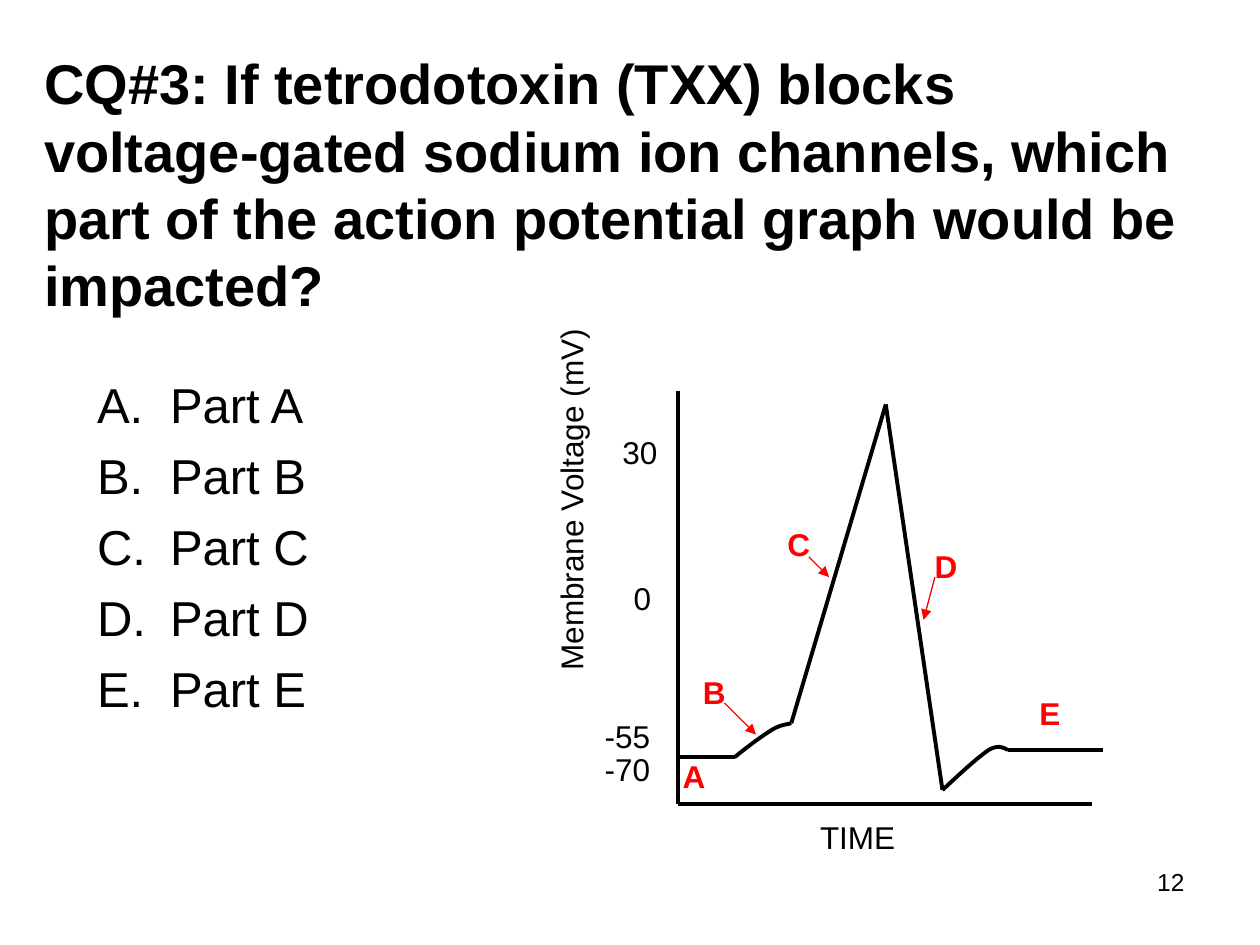
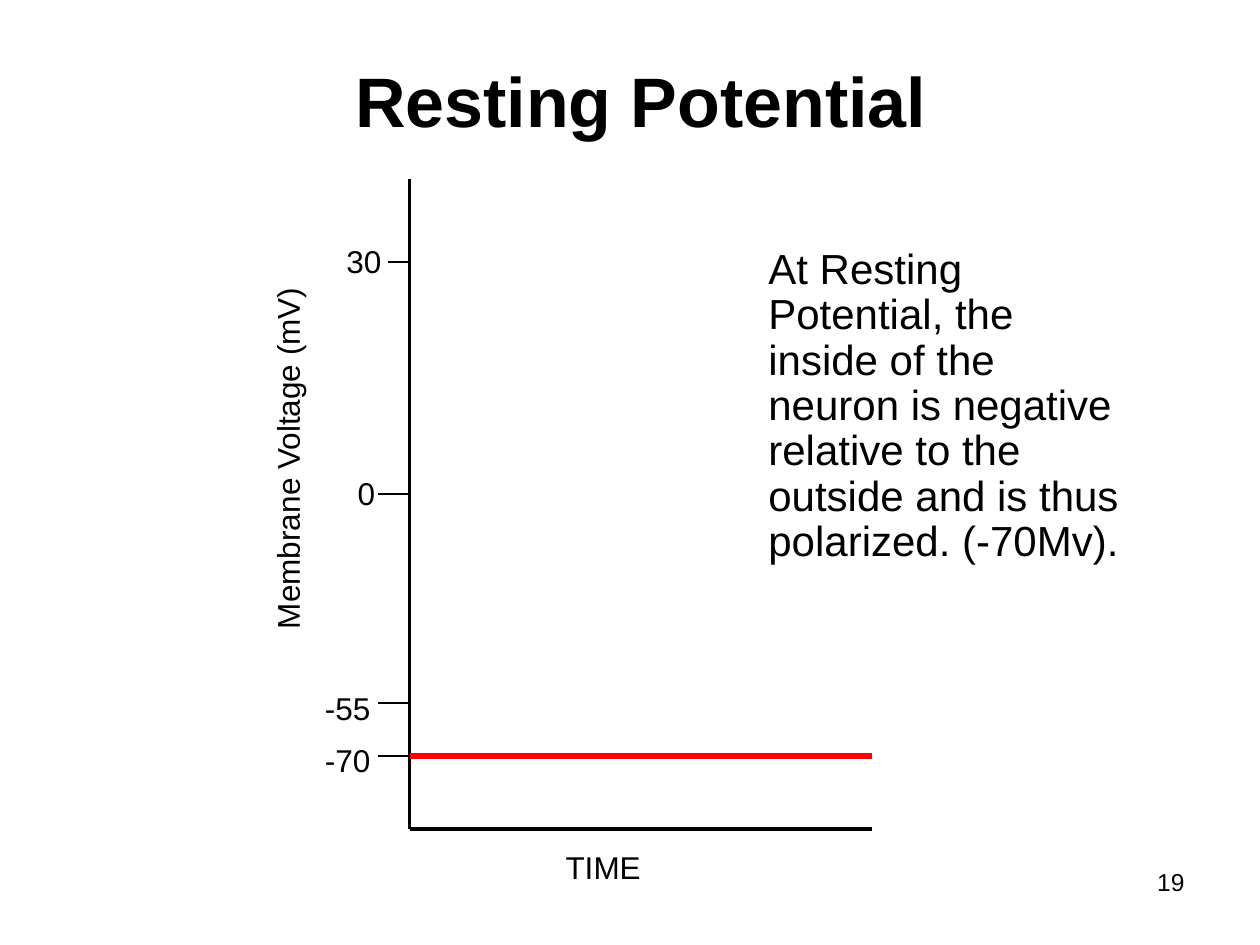
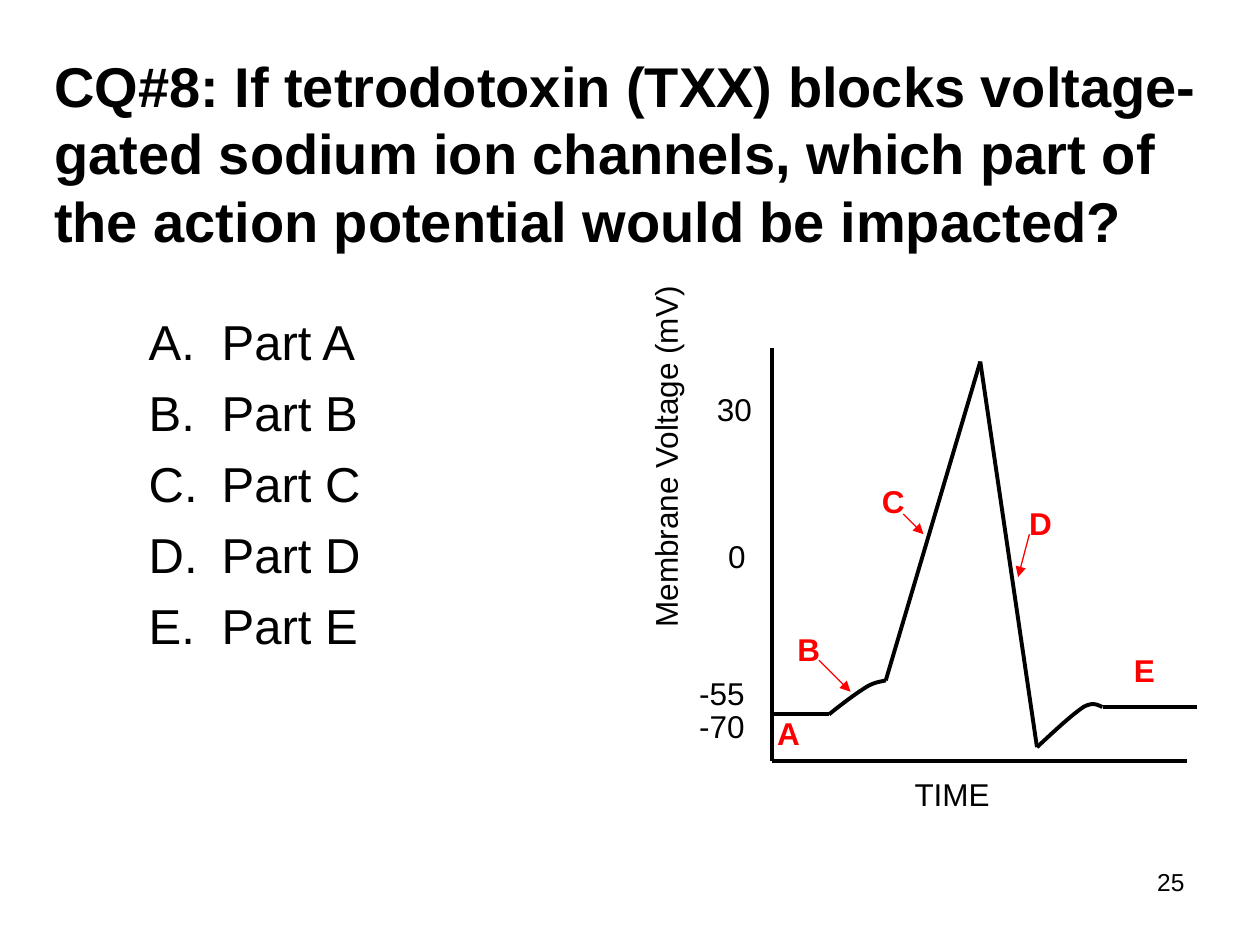
from dataclasses import dataclass

from lxml import etree
from pptx import Presentation
from pptx.dml.color import RGBColor
from pptx.enum.shapes import MSO_CONNECTOR
from pptx.enum.text import MSO_ANCHOR, MSO_AUTO_SIZE, PP_ALIGN
from pptx.oxml.ns import qn
from pptx.util import Inches, Pt

STRAIGHT = MSO_CONNECTOR.STRAIGHT
LEFT, CENTER, RIGHT = PP_ALIGN.LEFT, PP_ALIGN.CENTER, PP_ALIGN.RIGHT
MIDDLE, TOP = MSO_ANCHOR.MIDDLE, MSO_ANCHOR.TOP
NO_FIT, GROW = MSO_AUTO_SIZE.NONE, MSO_AUTO_SIZE.SHAPE_TO_FIT_TEXT
TITLE_AND_BODY, TITLE_ONLY = 1, 5


@dataclass(frozen=True)
class Theme:
    font: str = "Arial"
    ink: RGBColor = RGBColor(0, 0, 0)
    accent: RGBColor = RGBColor(255, 0, 0)
    title: int = 40
    question: int = 32
    choice: int = 28
    note: int = 24
    label: int = 18
    number: int = 14
    thin: float = 0.75
    thick: float = 2.25
    heavy: float = 3


THEME = Theme()

# Content: boxes are left, top, width, height in inches
CHOICES = ["Part A", "Part B", "Part C", "Part D", "Part E"]
QUESTIONS = {
    "CQ#3": {
        "number": "12",
        "title": "CQ#3: If tetrodotoxin (TXX) blocks voltage-gated sodium ion channels, "
                 "which part of the action potential graph would be impacted?",
        "title_box": (0.25, 0.33, 9.25, 2.25),
        "choices_box": (0.67, 2.92, 4.25, 3.75),
        "origin": (5.38, 6.38),
    },
    "CQ#8": {
        "number": "25",
        "title": "CQ#8: If tetrodotoxin (TXX) blocks voltage-gated sodium ion channels, "
                 "which part of the action potential would be impacted?",
        "title_box": (0.33, 0.17, 9.33, 2.08),
        "choices_box": (1.08, 2.42, 3.58, 3.53),
        "origin": (6.13, 6.04),
    },
}
RESTING_NOTE = ("At Resting Potential, the inside of the neuron is negative relative "
                "to the outside and is thus polarized. (-70Mv).")

# Graph geometry: distance right of and height above the origin of the axes
LABEL_HEIGHT = 0.4
LABEL_WIDTHS = {"TIME": 0.82, "-70": 0.56, "-55": 0.56, "0": 0.34, "30": 0.48,
                "A": 0.38, "B": 0.38, "C": 0.38, "D": 0.38, "E": 0.36}
ACTION_AXES = {
    "width": 3.29, "height": 3.28, "voltage_center": (-0.85, 2.42),
    "labels": {"TIME": (1.03, -0.06), "-70": (-0.68, 0.48), "-55": (-0.68, 0.74),
               "0": (-0.45, 1.83), "30": (-0.54, 2.99)},
}
RESTING_AXES = {
    "width": 3.67, "height": 5.16, "voltage_center": (-0.97, 2.95),
    "labels": {"TIME": (1.14, -0.1), "-70": (-0.77, 0.75), "-55": (-0.77, 1.16),
               "0": (-0.51, 2.87), "30": (-0.6, 4.71)},
}
RESTING_LEVEL = 0.58
RESTING_TICKS = [(0.17, 4.5), (0.25, 2.66), (0.25, 1.0), (0.25, RESTING_LEVEL)]

WAVE_LINES = [
    ((0, 0.37), (0.45, 0.37)),
    ((0.9, 0.64), (1.65, 3.17)),
    ((1.65, 3.17), (2.1, 0.11)),
    ((2.62, 0.43), (3.37, 0.43)),
]
WAVE_CURVES = [
    [(0.45, 0.37), (0.56, 0.46), (0.67, 0.54), (0.75, 0.59),
     (0.82, 0.63), (0.87, 0.63), (0.9, 0.64)],
    [(2.1, 0.11), (2.24, 0.24), (2.38, 0.37), (2.47, 0.43),
     (2.56, 0.48), (2.6, 0.43), (2.62, 0.43)],
]
PART_LABELS = {"A": (-0.06, 0.42), "B": (0.1, 1.09), "C": (0.77, 2.26),
               "D": (1.94, 2.09), "E": (2.77, 0.92)}
PART_ARROWS = [((0.37, 0.8), (0.62, 0.55)), ((1.04, 1.96), (1.2, 1.8)),
               ((2.04, 1.8), (1.95, 1.46))]


# Text helpers
def set_attributes(target, values):
    for name, value in values.items():
        setattr(target, name, value)


def write(paragraph, text, size, color=THEME.ink, bold=False, **layout):
    set_attributes(paragraph, layout)
    run = paragraph.add_run()
    run.text = text
    set_attributes(run.font, {"name": THEME.font, "size": Pt(size), "bold": bold})
    run.font.color.rgb = color


def add_text(shapes, box, text, size, wrap=True, **style):
    shape = shapes.add_textbox(*map(Inches, box))
    set_attributes(shape.text_frame, {"word_wrap": wrap, "auto_size": NO_FIT if wrap else GROW})
    write(shape.text_frame.paragraphs[0], text, size, **style)
    return shape


def place(placeholder, box, anchor):
    edges = zip(("left", "top", "width", "height"), map(Inches, box))
    set_attributes(placeholder, dict(edges))
    set_attributes(placeholder.text_frame, {"vertical_anchor": anchor, "auto_size": NO_FIT})


def start_slide(presentation, layout, title, box, size, number, alignment=LEFT):
    slide = presentation.slides.add_slide(presentation.slide_layouts[layout])
    place(slide.shapes.title, box, MIDDLE)
    write(slide.shapes.title.text_frame.paragraphs[0], title, size, bold=True,
          alignment=alignment)
    add_text(slide.shapes, (7.17, 6.83, 2.33, 0.52), number, THEME.number, alignment=RIGHT)
    return slide


def fill_choices(placeholder, box):
    place(placeholder, box, TOP)
    frame = placeholder.text_frame
    for index, choice in enumerate(CHOICES):
        paragraph = frame.add_paragraph() if index else frame.paragraphs[0]
        properties = paragraph._p.get_or_add_pPr()
        properties.set("marL", str(Inches(0.58)))
        properties.set("indent", str(-Inches(0.58)))
        etree.SubElement(properties, qn("a:buFont"), typeface=THEME.font)
        etree.SubElement(properties, qn("a:buAutoNum"), type="alphaUcPeriod")
        write(paragraph, choice, THEME.choice, space_before=Pt(7 if index else 0))


# Graph drawing
class Graph:
    def __init__(self, slide, origin):
        self.shapes = slide.shapes.add_group_shape().shapes
        self.origin = origin

    def locate(self, point):
        return self.origin[0] + point[0], self.origin[1] - point[1]

    def line(self, start, end, width=THEME.thick, color=THEME.ink, arrow=False):
        ends = [Inches(value) for point in (start, end) for value in self.locate(point)]
        connector = self.shapes.add_connector(STRAIGHT, *ends)
        connector.line.width = Pt(width)
        connector.line.color.rgb = color
        properties = connector._element.spPr
        if arrow:
            etree.SubElement(connector.line._get_or_add_ln(), qn("a:tailEnd"), type="triangle")
        etree.SubElement(properties, qn("a:effectLst"))

    def curve(self, controls, steps=8):
        points = [controls[0]]
        for first in range(0, len(controls) - 1, 3):
            segment = controls[first:first + 4]
            points += [bezier(segment, step / steps) for step in range(1, steps + 1)]
        start, *others = [tuple(map(Inches, self.locate(point))) for point in points]
        builder = self.shapes.build_freeform(*start)
        builder.add_line_segments(others, close=False)
        shape = builder.convert_to_shape()
        shape.shadow.inherit = False
        shape.fill.background()
        shape.line.width = Pt(THEME.thick)
        shape.line.color.rgb = THEME.ink

    def labels(self, positions, **style):
        for text, position in positions.items():
            box = (*self.locate(position), LABEL_WIDTHS[text], LABEL_HEIGHT)
            add_text(self.shapes, box, text, THEME.label, wrap=False, **style)

    def axes(self, width, height, voltage_center, labels):
        self.line((0, height), (0, 0))
        self.line((0, 0), (width, 0))
        self.labels(labels)
        center_x, center_y = self.locate(voltage_center)
        length = 2.92
        box = (center_x - length / 2, center_y - LABEL_HEIGHT / 2, length, LABEL_HEIGHT)
        add_text(self.shapes, box, "Membrane Voltage (mV)", THEME.label, wrap=False).rotation = 270


def bezier(controls, t):
    weights = ((1 - t) ** 3, 3 * t * (1 - t) ** 2, 3 * t ** 2 * (1 - t), t ** 3)
    return tuple(sum(weight * value for weight, value in zip(weights, axis))
                 for axis in zip(*controls))


# Slides
def add_question(presentation, question):
    slide = start_slide(presentation, TITLE_AND_BODY, question["title"],
                        question["title_box"], THEME.question, question["number"])
    fill_choices(slide.placeholders[1], question["choices_box"])
    graph = Graph(slide, question["origin"])
    graph.axes(**ACTION_AXES)
    for start, end in WAVE_LINES:
        graph.line(start, end)
    for controls in WAVE_CURVES:
        graph.curve(controls)
    graph.labels(PART_LABELS, color=THEME.accent, bold=True)
    for start, end in PART_ARROWS:
        graph.line(start, end, THEME.thin, THEME.accent, arrow=True)


def add_resting_potential(presentation):
    slide = start_slide(presentation, TITLE_ONLY, "Resting Potential",
                        (0.67, 0.33, 8.83, 0.92), THEME.title, "19", CENTER)
    graph = Graph(slide, (3.25, 6.58))
    graph.axes(**RESTING_AXES)
    for length, height in RESTING_TICKS:
        graph.line((-length, height), (0, height), THEME.thin)
    graph.line((0, RESTING_LEVEL), (RESTING_AXES["width"], RESTING_LEVEL),
               THEME.heavy, THEME.accent)
    add_text(slide.shapes, (6, 1.92, 3.08, 3.23), RESTING_NOTE, THEME.note, line_spacing=0.9)


def main():
    presentation = Presentation()
    presentation.slide_width, presentation.slide_height = Inches(10), Inches(7.5)
    add_question(presentation, QUESTIONS["CQ#3"])
    add_resting_potential(presentation)
    add_question(presentation, QUESTIONS["CQ#8"])
    presentation.save("out.pptx")


if __name__ == "__main__":
    main()
